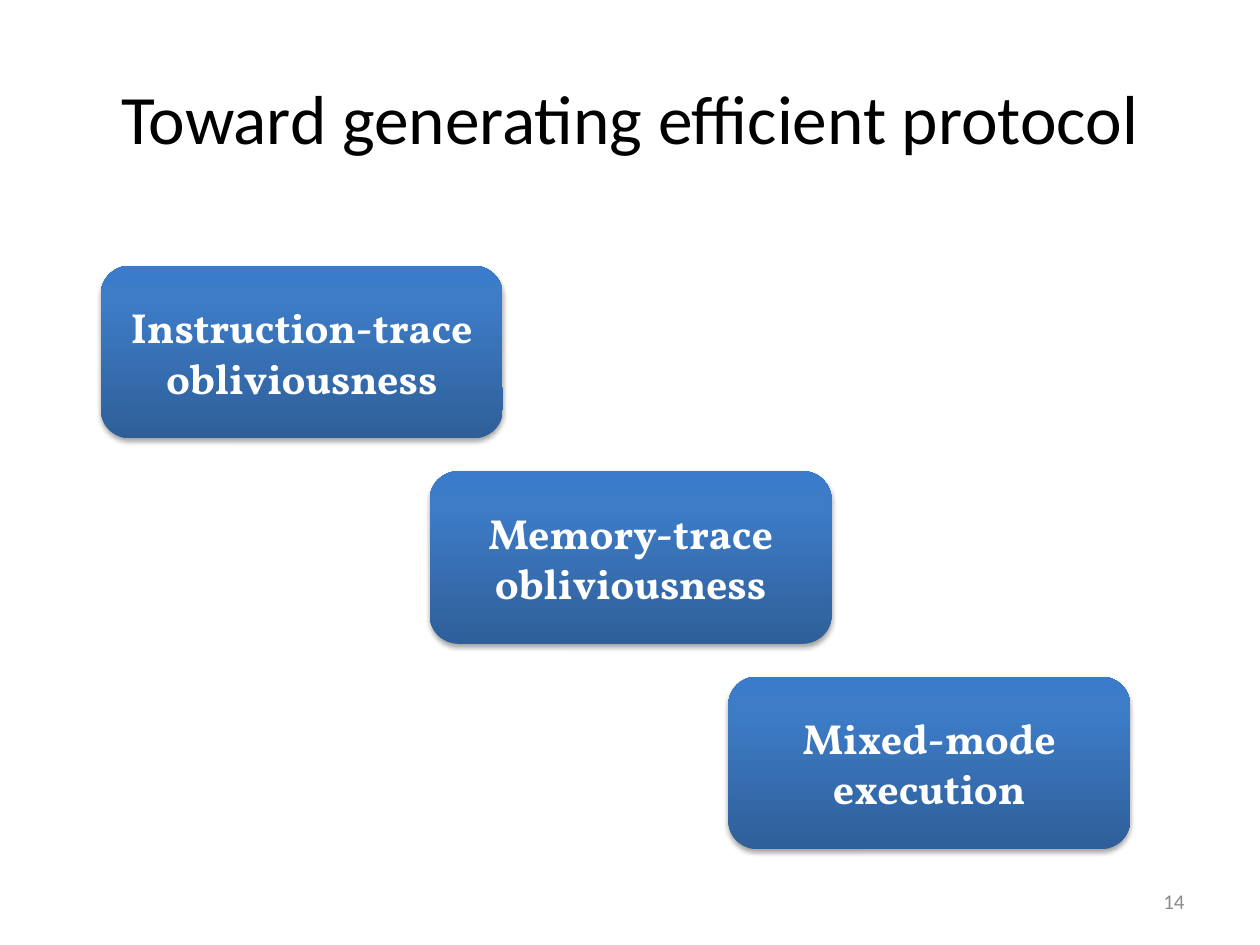
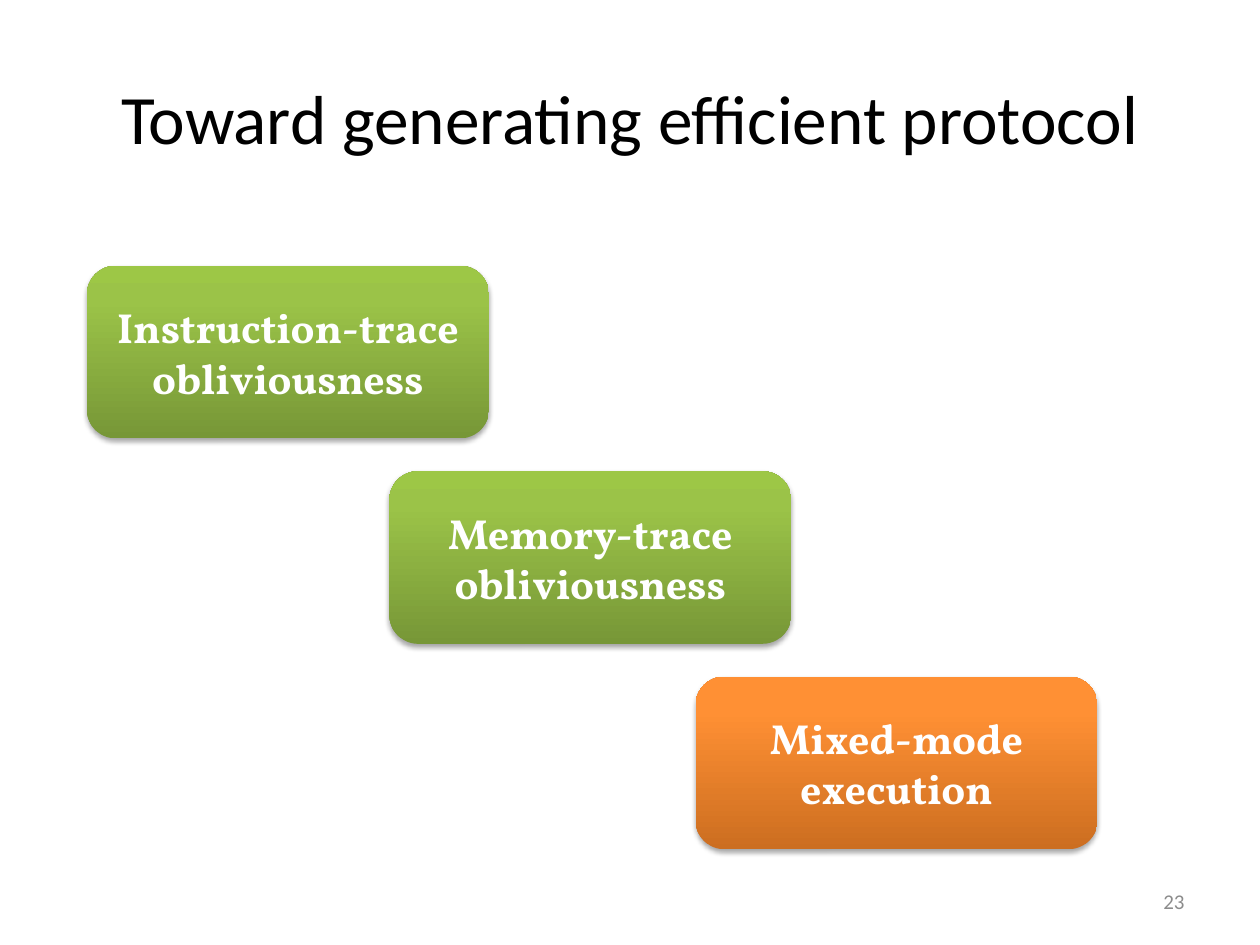
"""Build two slides that show the steps toward an efficient protocol."""
from pptx import Presentation, util as u
from pptx.dml.color import RGBColor
from pptx.enum import shapes, text
from pptx.oxml import parse_xml
from pptx.oxml.ns import nsdecls, qn

COLORS = {"title": "000000", "label": "FFFFFF", "number": "8C8C8C", "shadow": "000000"}
GRADIENTS = {
    "blue": ("2F5F99", "3D7CC7", "3A7CCB"),
    "green": ("779737", "9BC348", "9DC746"),
    "orange": ("CC6E20", "FF9034", "FF9136"),
}
STOPS = (0, 80, 100)
TITLE = "Toward generating efficient protocol"
STEPS = ("Instruction-trace obliviousness", "Memory-trace obliviousness", "Mixed-mode execution")
TITLE_BOX = (0.5, 0.3, 9, 1.25)
NUMBER_BOX = (7.17, 6.95, 2.33, 0.4)
STEP_SIZE = (3.19, 1.37)
FIRST_TOP, ROW_PITCH = 2.11, 1.63
SLIDES = (
    ("14", (0.8, 3.41, 5.78), ("blue", "blue", "blue")),
    ("23", (0.69, 3.09, 5.52), ("green", "green", "orange")),
)


def inches(box):
    """Convert a box of plain numbers to lengths."""
    return [u.Inches(value) for value in box]


def write(shape, words, font, size, color, align, bold=False):
    """Put one formatted, vertically centred paragraph in a shape."""
    frame = shape.text_frame
    frame.word_wrap = True
    frame.vertical_anchor = text.MSO_ANCHOR.MIDDLE
    para = frame.paragraphs[0]
    para.text = words
    para.alignment = align
    para.font.name = font
    para.font.size = u.Pt(size)
    para.font.bold = bold
    para.font.color.rgb = RGBColor.from_string(COLORS[color])


def paint_gradient(shape, colors):
    """Fill a shape with a gradient that runs from bottom to top."""
    stops = "".join(
        f'<a:gs pos="{stop * 1000}"><a:srgbClr val="{color}"/></a:gs>'
        for stop, color in zip(STOPS, colors)
    )
    gradient = parse_xml(
        f'<a:gradFill {nsdecls("a")} rotWithShape="1"><a:gsLst>{stops}</a:gsLst>'
        '<a:lin ang="16200000" scaled="0"/></a:gradFill>'
    )
    shape.fill.background()
    properties = shape.element.spPr
    properties.replace(properties.find(qn("a:noFill")), gradient)


def cast_shadow(shape):
    """Give a shape a soft shadow below it."""
    shape.shadow.inherit = False
    shape.element.spPr.find(qn("a:effectLst")).append(parse_xml(
        f'<a:outerShdw {nsdecls("a")} blurRad="{u.Pt(3.1)}" dist="{u.Pt(1.8)}" '
        f'dir="5400000" rotWithShape="0"><a:srgbClr val="{COLORS["shadow"]}">'
        '<a:alpha val="35000"/></a:srgbClr></a:outerShdw>'
    ))


def add_step(page, box, label, gradient):
    """Add one rounded step with its label."""
    step = page.shapes.add_shape(shapes.MSO_SHAPE.ROUNDED_RECTANGLE, *inches(box))
    paint_gradient(step, GRADIENTS[gradient])
    step.line.fill.background()
    cast_shadow(step)
    write(step, label, "Vollkorn", 24, "label", text.PP_ALIGN.CENTER, bold=True)


def add_title(page, box):
    """Place and format the title placeholder."""
    title = page.shapes.title
    title.left, title.top, title.width, title.height = inches(box)
    write(title, TITLE, "Calibri", 39.6, "title", text.PP_ALIGN.CENTER)


def add_number(page, box, number):
    """Add the page number at the bottom right."""
    footer = page.shapes.add_textbox(*inches(box))
    write(footer, number, "Calibri", 12, "number", text.PP_ALIGN.RIGHT)


def add_staircase(deck, number, lefts, gradients):
    """Add a slide whose steps descend from left to right."""
    page = deck.slides.add_slide(deck.slide_layouts[5])
    add_title(page, TITLE_BOX)
    for row, (left, label, gradient) in enumerate(zip(lefts, STEPS, gradients)):
        add_step(page, (left, FIRST_TOP + row * ROW_PITCH, *STEP_SIZE), label, gradient)
    add_number(page, NUMBER_BOX, number)


def main():
    """Build and save the deck."""
    deck = Presentation()
    deck.slide_width, deck.slide_height = inches((10, 7.5))
    for number, lefts, gradients in SLIDES:
        add_staircase(deck, number, lefts, gradients)
    deck.save("out.pptx")


if __name__ == "__main__":
    main()
